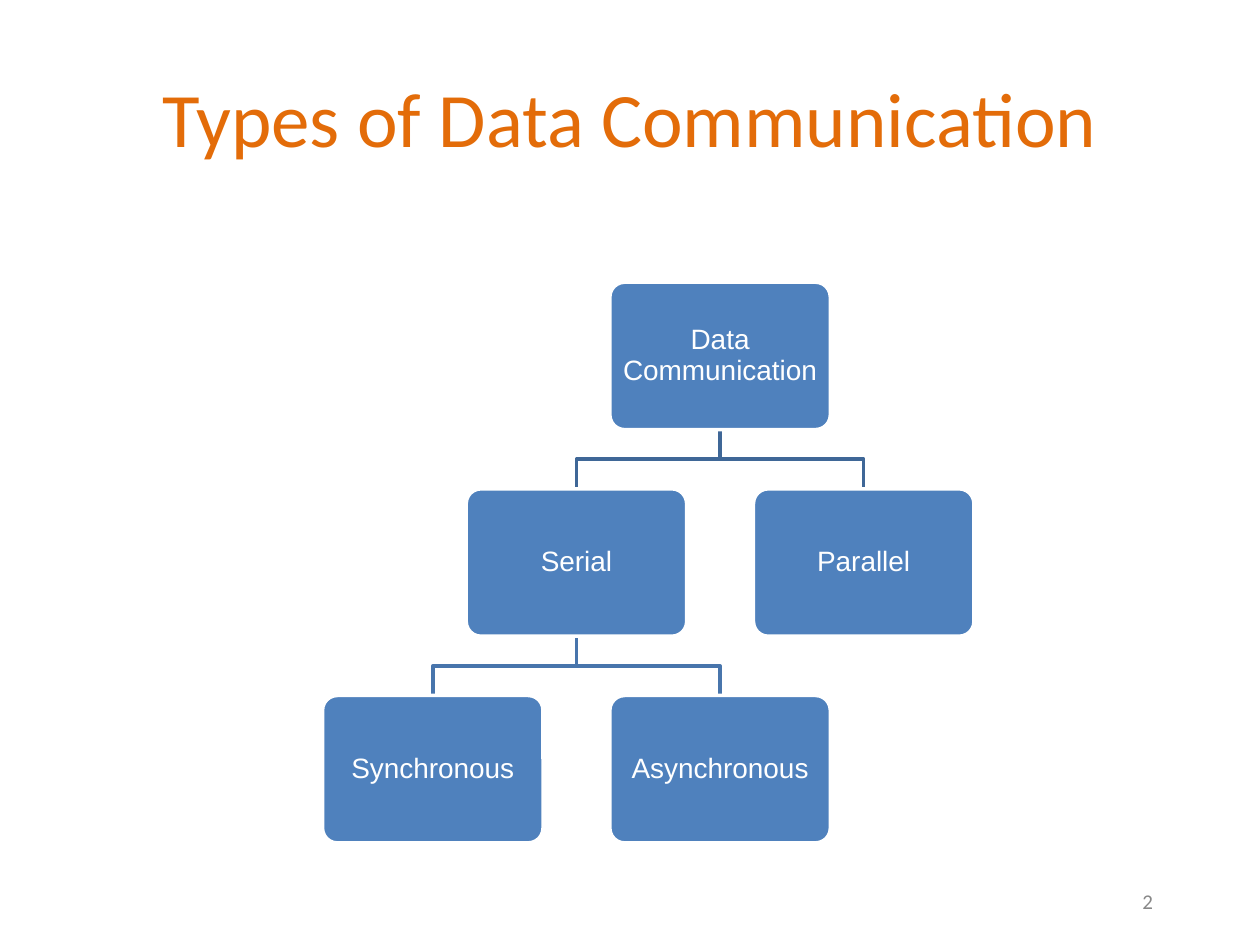
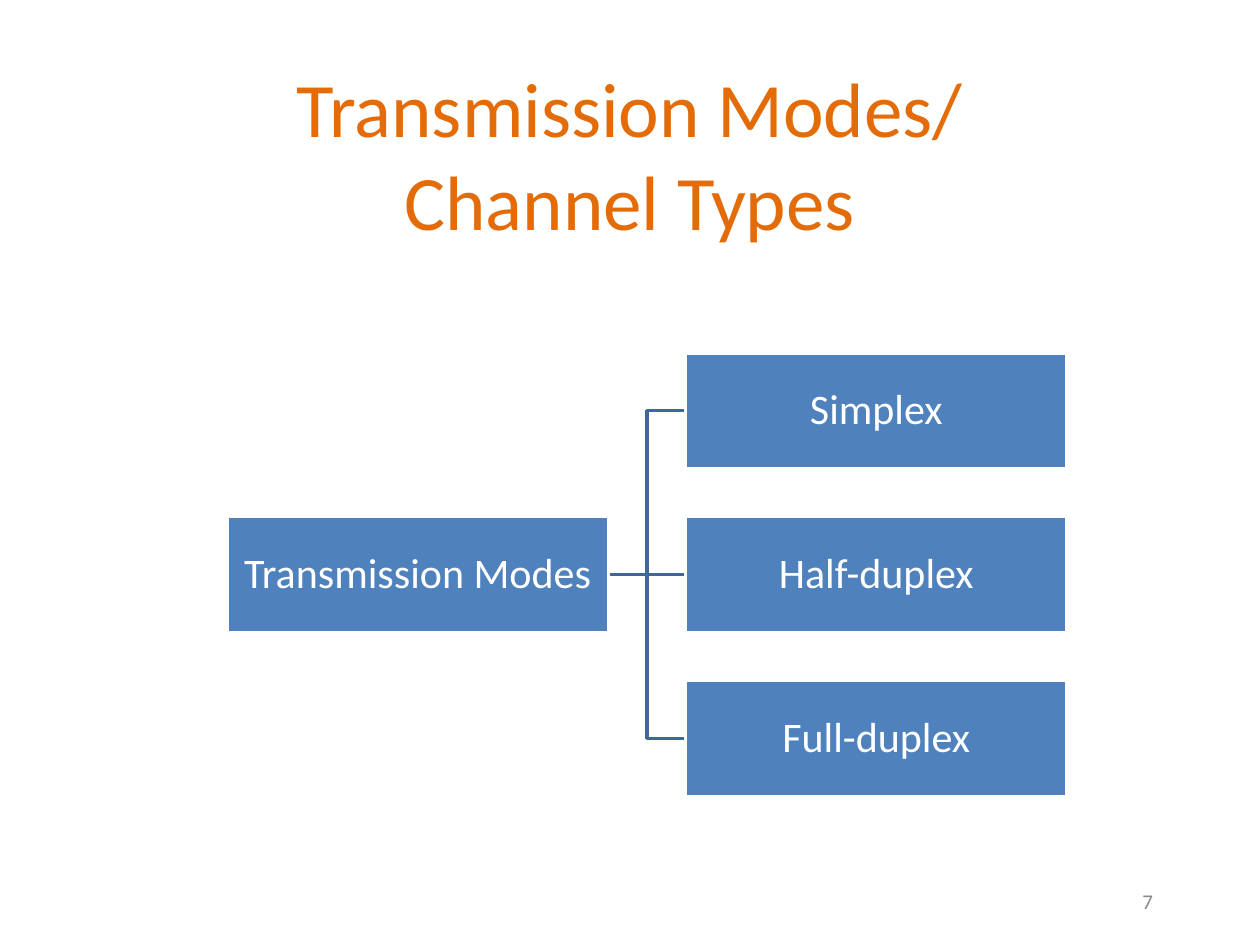
from lxml import etree
from pptx import Presentation
from pptx import util as u
from pptx.dml.color import RGBColor
from pptx.enum import shapes, text
from pptx.oxml.ns import qn

COLORS = {
    "title": "E36C09",
    "number": "888888",
    "node": "4F81BD",
    "white": "FFFFFF",
    "link": "3F6797",
    "sublink": "4875AC",
}
LINE_WIDTH = u.Pt(2)


def rgb(name):
    return RGBColor.from_string(COLORS[name])


def write(sp, words, font, size, color, align, inset_x, inset_y):
    """Fill a shape or text box with one vertically centred paragraph."""
    tf = sp.text_frame
    tf.word_wrap = True
    tf.vertical_anchor = text.MSO_ANCHOR.MIDDLE
    tf.margin_left = tf.margin_right = u.Inches(inset_x)
    tf.margin_top = tf.margin_bottom = u.Inches(inset_y)
    p = tf.paragraphs[0]
    p.text = words
    p.alignment = align
    p.font.name = font
    p.font.size = u.Pt(size)
    p.font.color.rgb = rgb(color)
    return p


def text_box(s, box, *style):
    write(s.shapes.add_textbox(*map(u.Inches, box)), *style)


def add_slide(prs, title, title_height, number):
    """Add a slide with the shared title and slide number."""
    s = prs.slides.add_slide(prs.slide_layouts[6])
    text_box(s, (0.5, 0.3, 9, title_height), title, "Calibri", 44, "title",
             text.PP_ALIGN.CENTER, 0.1, 0.1)
    text_box(s, (6.92, 6.95, 2.33, 0.4), number, "Calibri", 12, "number",
             text.PP_ALIGN.RIGHT, 0.1, 0.05)
    return s


def add_node(s, kind, box, words, font, size, inset):
    sp = s.shapes.add_shape(kind, *map(u.Inches, box))
    sp.shadow.inherit = False
    sp.fill.solid()
    sp.fill.fore_color.rgb = rgb("node")
    sp.line.color.rgb = rgb("white")
    sp.line.width = LINE_WIDTH
    p = write(sp, words, font, size, "white", text.PP_ALIGN.CENTER, inset, inset)
    p.line_spacing = 0.9
    return sp


def add_link(s, points, color):
    """Draw a straight connector for two points, an open bent line for more."""
    points = [(u.Inches(x), u.Inches(y)) for x, y in points]
    if len(points) == 2:
        sp = s.shapes.add_connector(shapes.MSO_CONNECTOR.STRAIGHT, *points[0], *points[1])
        etree.SubElement(sp._element.spPr, qn("a:effectLst"))
    else:
        builder = s.shapes.build_freeform(*points[0])
        builder.add_line_segments(points[1:], close=False)
        sp = builder.convert_to_shape()
        sp.fill.background()
        sp.shadow.inherit = False
    sp.line.color.rgb = rgb(color)
    sp.line.width = LINE_WIDTH


def communication_tree(s, left, top):
    """Top-down tree; nodes sit on half-column steps from the left edge."""
    width, height = 1.75, 1.17
    step, pitch = 1.14, 1.64
    nodes = {  # name: (column, level, parent)
        "Data Communication": (2, 0, None),
        "Serial": (1, 1, "Data Communication"),
        "Parallel": (3, 1, "Data Communication"),
        "Synchronous": (0, 2, "Serial"),
        "Asynchronous": (2, 2, "Serial"),
    }

    def corner(name):
        column, level, _ = nodes[name]
        return left + column * step, top + level * pitch

    for name, (_, level, parent) in nodes.items():
        if parent:
            x, y = corner(name)
            px, py = corner(parent)
            x, px, py = x + width / 2, px + width / 2, py + height
            mid = (py + y) / 2
            add_link(s, [(px, py), (px, mid), (x, mid), (x, y)],
                     "link" if level == 1 else "sublink")
    for name in nodes:
        sp = add_node(s, shapes.MSO_SHAPE.ROUNDED_RECTANGLE,
                      (*corner(name), width, height), name, "Arial", 16, 0.06)
        sp.adjustments[0] = 0.1


def mode_tree(s, left, top):
    """Left-to-right tree with the root beside the middle mode."""
    width, height = 3.03, 0.92
    modes = ["Simplex", "Half-duplex", "Full-duplex"]
    pitch, gap = 1.3, 0.61
    root_top = top + pitch * (len(modes) - 1) / 2
    start, end = left + width, left + width + gap
    mid, root_y = (start + end) / 2, root_top + height / 2

    nodes = [("Transmission Modes", left, root_top)]
    for i, mode in enumerate(modes):
        y = top + i * pitch
        mode_y = y + height / 2
        bend = [] if abs(mode_y - root_y) < 0.01 else [(mid, root_y), (mid, mode_y)]
        add_link(s, [(start, root_y), *bend, (end, mode_y)], "link")
        nodes.append((mode, end, y))
    for name, x, y in nodes:
        add_node(s, shapes.MSO_SHAPE.RECTANGLE, (x, y, width, height),
                 name, "Calibri", 24, 0.02)


def main():
    prs = Presentation()
    prs.slide_width, prs.slide_height = u.Inches(10), u.Inches(7.5)
    communication_tree(add_slide(prs, "Types of Data Communication", 1.25, "2"), 2.56, 2.24)
    mode_tree(add_slide(prs, "Transmission Modes/\nChannel Types", 1.83, "7"), 1.8, 2.8)
    prs.save("out.pptx")


if __name__ == "__main__":
    main()
